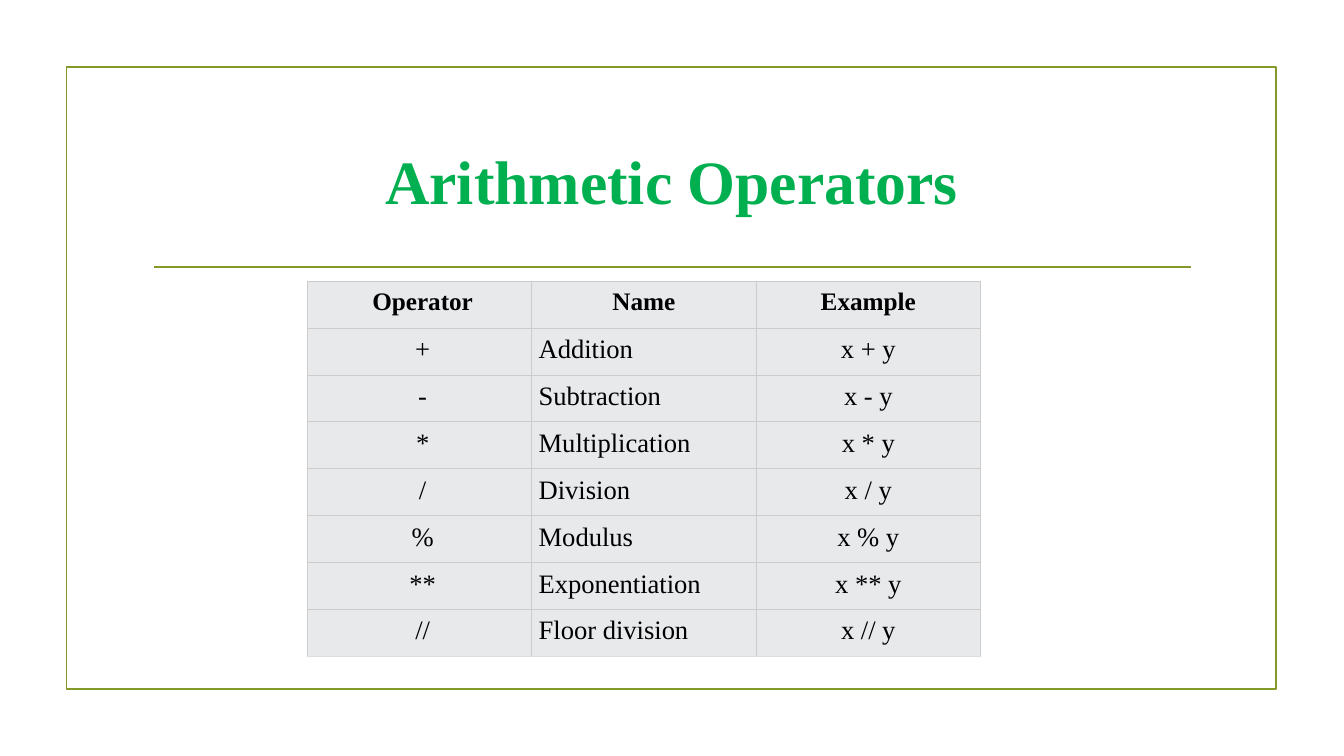
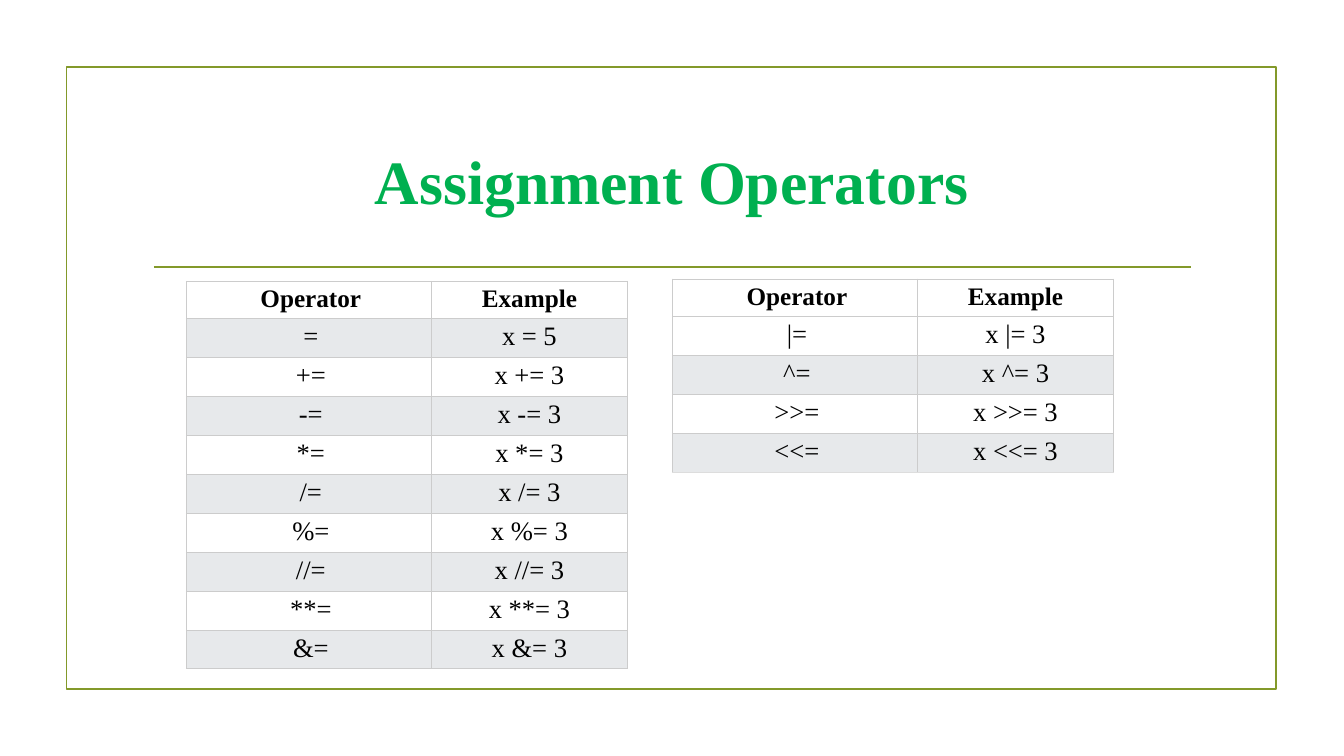
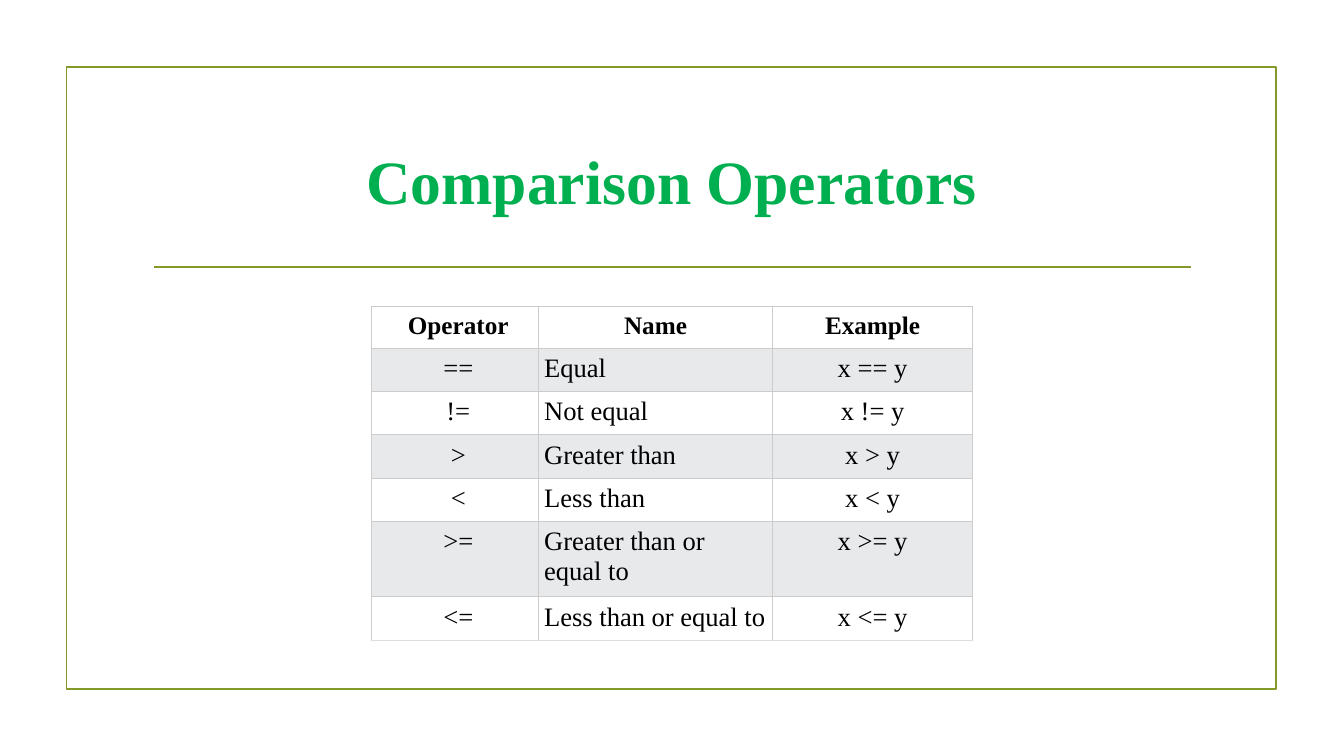
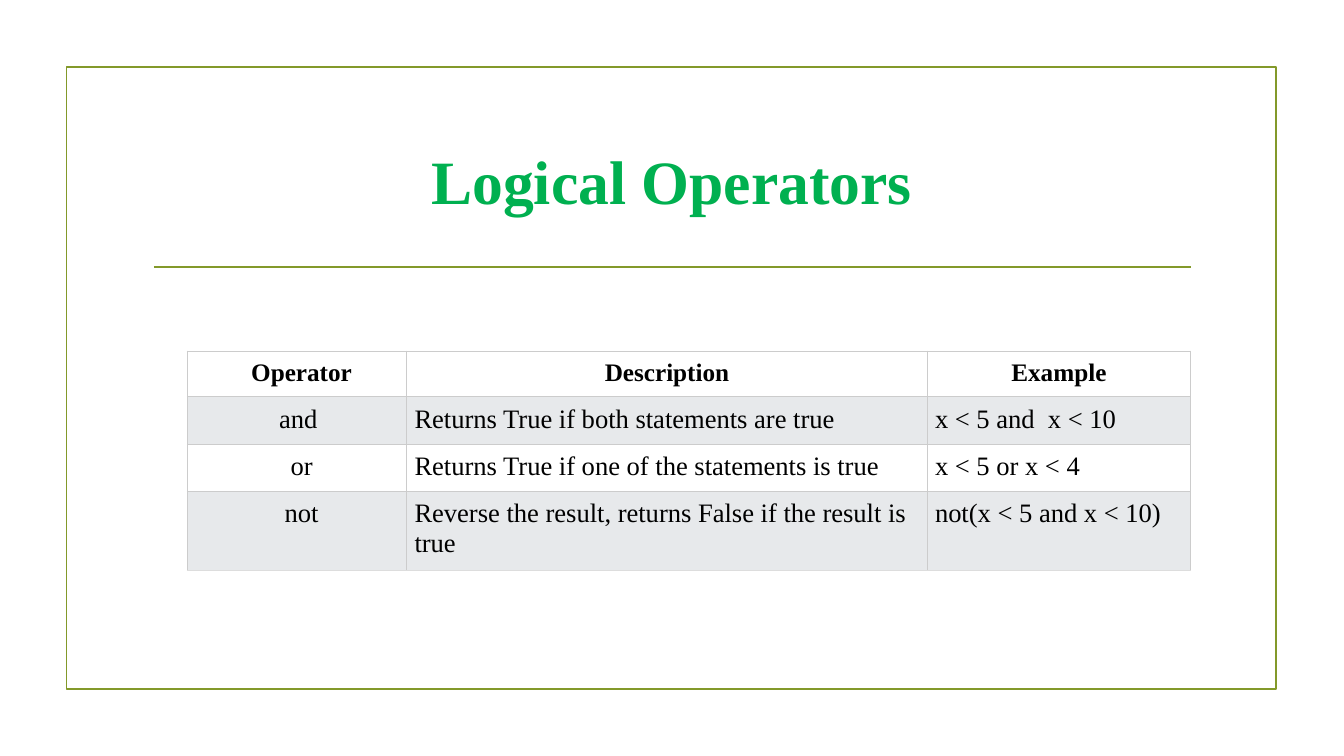
from pptx import Presentation as Deck
from pptx.dml.color import RGBColor as RGB
from pptx.enum.shapes import MSO_CONNECTOR as Wire, MSO_SHAPE as Form
from pptx.enum.text import MSO_ANCHOR as Anchor, PP_ALIGN as Align
from pptx.oxml import parse_xml
from pptx.oxml.ns import nsdecls
from pptx.util import Pt

OLIVE = RGB(0x83, 0x99, 0x2A)
GREEN = RGB(0x00, 0xB0, 0x50)
BLACK = RGB(0x00, 0x00, 0x00)
WHITE = RGB(0xFF, 0xFF, 0xFF)
SHADE = RGB(0xE7, 0xE9, 0xEB)
EDGE = RGB(0xCC, 0xCC, 0xCC)
BASE = RGB(0xDD, 0xDD, 0xDD)

FACE = "Times New Roman"
TITLE = {"name": FACE, "size": Pt(44), "bold": True}
HEAD = {"name": FACE, "size": Pt(18), "bold": True}
BODY = {"name": FACE, "size": Pt(19), "bold": False}
SIDES = {"l": Align.LEFT, "c": Align.CENTER}


def apply(item, look):
    for key, value in look.items():
        setattr(item, key, value)


class Maker:
    def __init__(self):
        self.deck = Deck()
        apply(self.deck, {"slide_width": Pt(960), "slide_height": Pt(540)})
        self.slide = None

    def page(self, title):
        self.slide = self.deck.slides.add_slide(self.deck.slide_layouts[6])
        self.frame(47.5, 48, 864, 444)
        self.rule(110, 850.5, 190.8)
        self.title(title, 102, 77, 756, 103)

    def frame(self, left, top, width, height):
        box = self.slide.shapes.add_shape(
            Form.RECTANGLE, Pt(left), Pt(top), Pt(width), Pt(height))
        box.shadow.inherit = False
        box.fill.background()
        self.stroke(box.line)

    def rule(self, start, end, top):
        line = self.slide.shapes.add_connector(
            Wire.STRAIGHT, Pt(start), Pt(top), Pt(end), Pt(top))
        line._element.spPr.append(parse_xml(f"<a:effectLst {nsdecls('a')}/>"))
        self.stroke(line.line)

    def stroke(self, line):
        line.color.rgb = OLIVE
        line.width = Pt(1.25)

    def title(self, text, left, top, width, height):
        box = self.slide.shapes.add_textbox(
            Pt(left), Pt(top), Pt(width), Pt(height))
        apply(box.text_frame,
              {"word_wrap": True, "vertical_anchor": Anchor.MIDDLE})
        self.label(box.text_frame, text, TITLE, GREEN, Align.CENTER)

    def label(self, frame, text, look, color, align):
        para = frame.paragraphs[0]
        para.alignment = align
        run = para.add_run()
        run.text = text
        apply(run.font, look)
        run.font.color.rgb = color

    def table(self, left, top, widths, heights, rows, sides, pad, indent,
              start=1, step=2, base=BASE):
        grid = self.slide.shapes.add_table(
            len(rows), len(widths), Pt(left), Pt(top),
            Pt(sum(widths)), Pt(sum(heights))).table
        apply(grid, {"first_row": False, "horz_banding": False})
        for col, width in zip(grid.columns, widths):
            col.width = Pt(width)
        for row, height in zip(grid.rows, heights):
            row.height = Pt(height)
        last = len(rows) - 1
        for i, row in enumerate(rows):
            fill = SHADE if i >= start and (i - start) % step == 0 else WHITE
            for j, text in enumerate(row):
                cell = grid.cell(i, j)
                apply(cell, {"margin_left": Pt(pad if j else indent),
                             "margin_right": Pt(pad), "margin_top": Pt(pad),
                             "margin_bottom": Pt(pad)})
                cell.fill.solid()
                cell.fill.fore_color.rgb = fill
                self.border(cell, base if i == last else EDGE)
                self.label(cell.text_frame, text, BODY if i else HEAD, BLACK,
                           SIDES[sides[j]] if i else Align.CENTER)

    def border(self, cell, base):
        props = cell._tc.get_or_add_tcPr()
        for spot, side in enumerate("LRTB"):
            color = base if side == "B" else EDGE
            props.insert(spot, parse_xml(
                f'<a:ln{side} {nsdecls("a")} w="{int(Pt(0.75))}"><a:solidFill>'
                f'<a:srgbClr val="{color}"/></a:solidFill></a:ln{side}>'))


def pairs(marks):
    return [("Operator", "Example")] + [
        (mark, f"x {mark} {5 if mark == '=' else 3}") for mark in marks]


def triples(names):
    return [("Operator", "Name", "Example")] + [
        (mark, name, f"x {mark} y") for mark, name in names.items()]


MATH = triples({
    "+": "Addition", "-": "Subtraction", "*": "Multiplication",
    "/": "Division", "%": "Modulus", "**": "Exponentiation",
    "//": "Floor division"})
ASSIGN = pairs(["=", "+=", "-=", "*=", "/=", "%=", "//=", "**=", "&="])
BITS = pairs(["|=", "^=", ">>=", "<<="])
COMPARE = triples({
    "==": "Equal", "!=": "Not equal", ">": "Greater than", "<": "Less than",
    ">=": "Greater than or equal to", "<=": "Less than or equal to"})
LOGIC = [
    ("Operator", "Description", "Example"),
    ("and ", "Returns True if both statements are true",
     "x < 5 and  x < 10"),
    ("or", "Returns True if one of the statements is true", "x < 5 or x < 4"),
    ("not", "Reverse the result, returns False if the result is true",
     "not(x < 5 and x < 10)")]


def main():
    make = Maker()

    make.page("Arithmetic Operators")
    make.table(219.5, 201, [160.3] * 3, [33.45] * len(MATH), MATH,
               "clc", 5, 9.5, start=0, step=1)

    make.page("Assignment Operators")
    for left, top, rows, look in (
            (133.1, 200.9, ASSIGN, {"base": EDGE}),
            (480.3, 199.4, BITS, {"start": 2})):
        heights = [25.8] + [26.8] * (len(rows) - 1)
        make.table(left, top, [175, 140.2], heights, rows,
                   "cc", 2.5, 5.4, **look)

    make.page("Comparison Operators")
    make.table(265.2, 218.8, [119.4, 167.2, 143],
               [29.4] + [30] * 4 + [51.5, 30], COMPARE, "clc", 4.1, 9)

    make.page("Logical Operators")
    make.table(133.8, 250.8, [156.8, 371.8, 188], [32.2, 32.8, 32.8, 54.6],
               LOGIC, "cll", 5.5, 12)

    make.deck.save("out.pptx")


if __name__ == "__main__":
    main()
